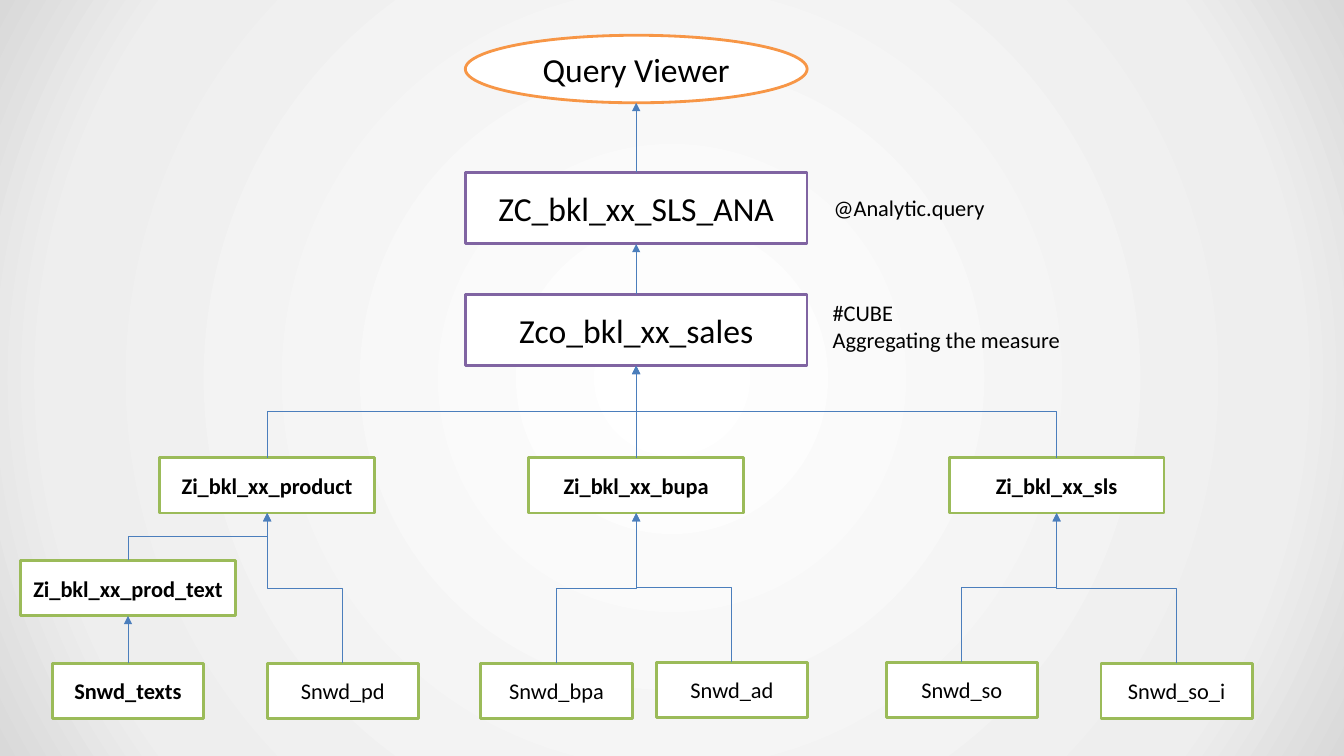
from dataclasses import dataclass

from lxml import etree
from pptx import Presentation
from pptx.dml.color import RGBColor
from pptx.enum.shapes import MSO_CONNECTOR as CONN, MSO_SHAPE as SHAPE
from pptx.enum.text import MSO_ANCHOR as ANCHOR, PP_ALIGN as ALIGN
from pptx.oxml import parse_xml
from pptx.oxml.ns import nsdecls, qn
from pptx.util import Inches, Pt


@dataclass(frozen=True)
class Theme:
    font: str = "Calibri"
    text: str = "000000"
    fill: str = "FFFFFF"
    source: str = "9BBB59"
    view: str = "8064A2"
    browser: str = "F79646"
    arrow: str = "4B7EBC"
    backdrop: tuple = ((0, "FFFFFF"), (81, "EEEEEE"), (100, "D9D9D9"))
    large: int = 24
    normal: int = 16
    border: float = 2
    arrow_width: float = 0.75


@dataclass(frozen=True)
class Node:
    """A labelled box, placed by its horizontal centre and its top."""
    label: str
    x: float
    top: float
    width: float = 1.5
    height: float = 0.55
    line: str = Theme.source
    size: int = Theme.normal
    bold: bool = False
    shape: SHAPE = SHAPE.RECTANGLE

    @property
    def bottom(self):
        return self.top + self.height


def wide_view(label, x, top):
    return Node(label, x, top, width=2.13, bold=True)


def top_view(label, top, height=0.71, line=Theme.view, shape=SHAPE.RECTANGLE):
    return Node(label, 6.31, top, 3.39, height, line, Theme.large, shape=shape)


def format_text(tf, size, bold=False, align=ALIGN.LEFT):
    for p in tf.paragraphs:
        p.alignment = align
        for r in p.runs:
            r.font.name = Theme.font
            r.font.size = Pt(size)
            r.font.bold = bold
            r.font.color.rgb = RGBColor.from_string(Theme.text)


def add_node(slide, node):
    sp = slide.shapes.add_shape(node.shape, Inches(node.x - node.width / 2), Inches(node.top),
                                Inches(node.width), Inches(node.height))
    sp.shadow.inherit = False
    sp.fill.solid()
    sp.fill.fore_color.rgb = RGBColor.from_string(Theme.fill)
    sp.line.color.rgb = RGBColor.from_string(node.line)
    sp.line.width = Pt(Theme.border)
    tf = sp.text_frame
    tf.word_wrap = True
    tf.vertical_anchor = ANCHOR.MIDDLE
    tf.text = node.label
    format_text(tf, node.size, node.bold, ALIGN.CENTER)


def add_note(slide, text, left, top, height):
    tf = slide.shapes.add_textbox(Inches(left), Inches(top), Inches(4.57), Inches(height)).text_frame
    tf.word_wrap = True
    tf.text = text
    format_text(tf, Theme.normal)


def add_arrow(slide, lower, upper):
    """Link the top of one node to the bottom of another, bending halfway up if needed."""
    x1, y1, x2, y2 = lower.x, lower.top, upper.x, upper.bottom
    bent = x1 != x2
    if bent:
        # An elbow starts sideways, so it is laid out on its side and turned upright.
        side = 1 if x1 < x2 else -1
        mid_x, mid_y = (x1 + x2) / 2, (y1 + y2) / 2
        dx, dy = side * (y1 - y2) / 2, abs(x2 - x1) / 2
        x1, y1, x2, y2 = mid_x + dx, mid_y + dy, mid_x - dx, mid_y - dy
    arrow = slide.shapes.add_connector(CONN.ELBOW if bent else CONN.STRAIGHT,
                                       Inches(x1), Inches(y1), Inches(x2), Inches(y2))
    arrow.line.color.rgb = RGBColor.from_string(Theme.arrow)
    arrow.line.width = Pt(Theme.arrow_width)
    sp_pr = arrow.element.spPr
    if bent:
        sp_pr.find(qn("a:xfrm")).set("rot", str((90 if side > 0 else 270) * 60000))
    etree.SubElement(sp_pr.find(qn("a:ln")), qn("a:tailEnd"), type="triangle")
    etree.SubElement(sp_pr, qn("a:effectLst"))


def set_backdrop(slide):
    """Fill the background with a circular gradient from the centre."""
    fill = slide.background.fill
    fill.solid()
    solid = next(slide.element.iter(qn("a:solidFill")))
    stops = "".join(f'<a:gs pos="{pos * 1000}"><a:srgbClr val="{color}"/></a:gs>'
                    for pos, color in Theme.backdrop)
    gradient = parse_xml(
        f'<a:gradFill {nsdecls("a")} rotWithShape="1"><a:gsLst>{stops}</a:gsLst>'
        '<a:path path="circle"><a:fillToRect l="50000" t="50000" r="50000" b="50000"/></a:path>'
        '</a:gradFill>')
    solid.getparent().replace(solid, gradient)


def main():
    prs = Presentation()
    prs.slide_width, prs.slide_height = Inches(13.33), Inches(7.5)
    slide = prs.slides.add_slide(prs.slide_layouts[6])
    set_backdrop(slide)

    browser = top_view("Query Viewer", 0.35, 0.67, Theme.browser, SHAPE.OVAL)
    query = top_view("ZC_bkl_xx_SLS_ANA", 1.71)
    cube = top_view("Zco_bkl_xx_sales", 2.92)
    product = wide_view("Zi_bkl_xx_product", 2.65, 4.54)
    bupa = wide_view("Zi_bkl_xx_bupa", 6.31, 4.54)
    sales = wide_view("Zi_bkl_xx_sls", 10.48, 4.54)
    prod_text = wide_view("Zi_bkl_xx_prod_text", 1.27, 5.56)

    feeds = {
        browser: [query],
        query: [cube],
        cube: [product, sales, bupa],
        product: [prod_text, Node("Snwd_pd", 3.4, 6.58)],
        prod_text: [Node("Snwd_texts", 1.27, 6.58, bold=True)],
        bupa: [Node("Snwd_bpa", 5.52, 6.58), Node("Snwd_ad", 7.26, 6.57)],
        sales: [Node("Snwd_so", 9.54, 6.57), Node("Snwd_so_i", 11.67, 6.58)],
    }
    add_node(slide, browser)
    for target, sources in feeds.items():
        for source in sources:
            add_node(slide, source)
            add_arrow(slide, source, target)

    add_note(slide, "@Analytic.query", 8.17, 1.88, 0.37)
    add_note(slide, "#CUBE\nAggregating the measure", 8.16, 2.92, 0.64)
    prs.save("out.pptx")


if __name__ == "__main__":
    main()
